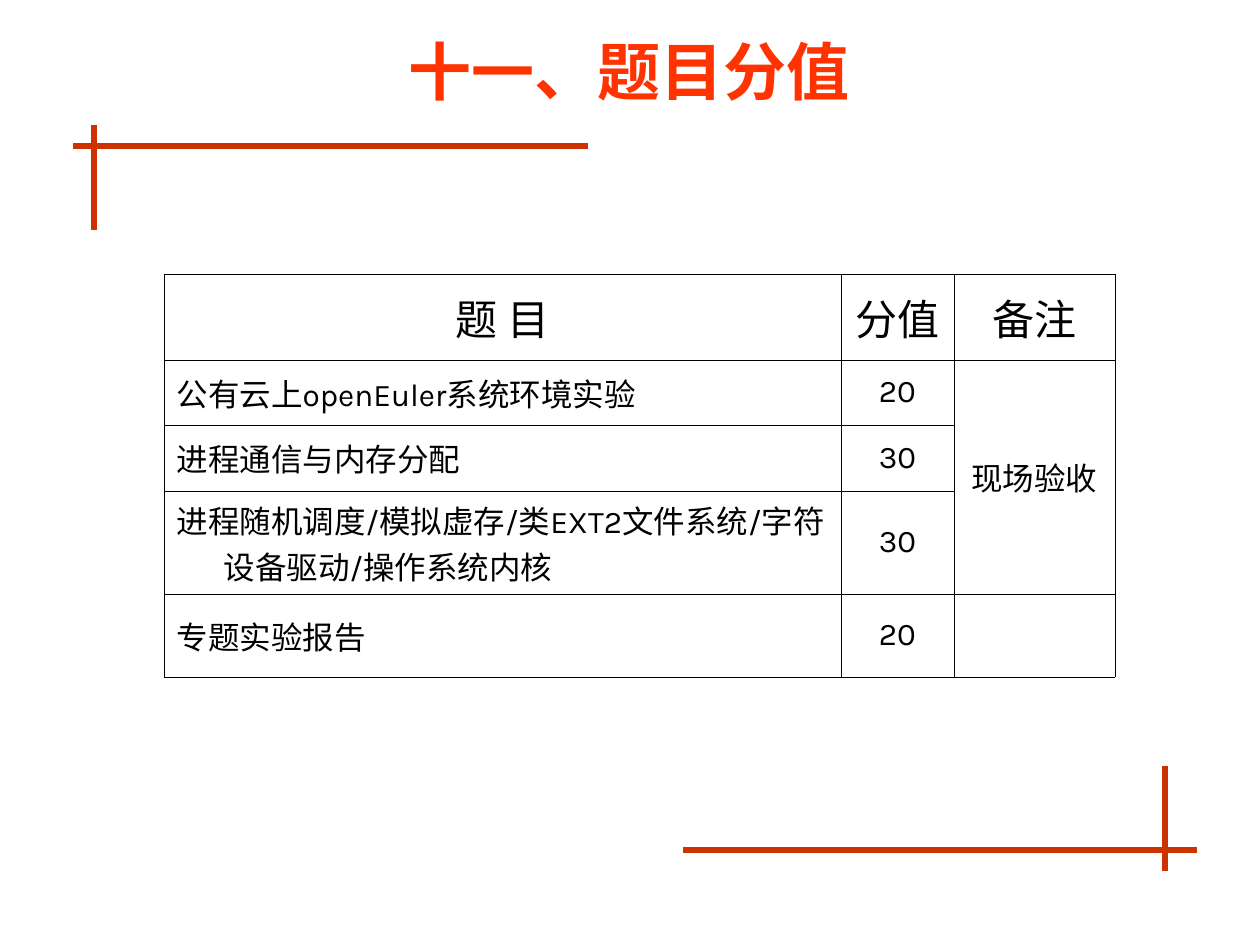
import pptx
import pptx.dml.color
import pptx.enum.shapes
import pptx.enum.text
import pptx.oxml.ns
import pptx.util
from lxml import etree

PX = 914400 / 126
CENTER = pptx.enum.text.PP_ALIGN.CENTER
LEFT = pptx.enum.text.PP_ALIGN.LEFT
MIDDLE = pptx.enum.text.MSO_ANCHOR.MIDDLE

RULES = [
    (73, 146, 588, 146),
    (683, 850, 1197, 850),
    (94, 125, 94, 230),
    (1165, 766, 1165, 871),
]
COLUMN_WIDTHS = [677, 113, 161]
ROW_HEIGHTS = [86, 65, 66, 103, 83]
SCORES = [
    ("题\u3000目".replace("\u3000", " "), "分值", "备注"),
    ("公有云上openEuler系统环境实验", "20", "现场验收"),
    ("进程通信与内存分配", "30", ""),
    ("进程随机调度/模拟虚存/类EXT2文件系统/字符设备驱动/操作系统内核", "30", ""),
    ("专题实验报告", "20", ""),
]


def px(length):
    return pptx.util.Emu(round(length * PX))


def color(value):
    return pptx.dml.color.RGBColor.from_string(value)


def add_rule(slide, x1, y1, x2, y2):
    rule = slide.shapes.add_connector(
        pptx.enum.shapes.MSO_CONNECTOR.STRAIGHT, px(x1), px(y1), px(x2), px(y2))
    rule.line.color.rgb = color("CC3300")
    rule.line.width = pptx.util.Pt(3)
    etree.SubElement(rule._element.spPr, pptx.oxml.ns.qn("a:effectLst"))


def write(paragraph, words, size, font, ink, align, bold=False):
    paragraph.alignment = align
    run = paragraph.add_run()
    run.text = words
    run.font.size = pptx.util.Pt(size)
    run.font.name = font
    run.font.bold = bold
    run.font.color.rgb = color(ink)


def add_title(slide, words):
    title = slide.shapes.add_textbox(px(94), px(6), px(1071), px(129))
    frame = title.text_frame
    frame.word_wrap = True
    frame.vertical_anchor = MIDDLE
    write(frame.paragraphs[0], words, 36, "Times New Roman", "FF3300", CENTER, True)


def set_borders(cell):
    properties = cell._tc.get_or_add_tcPr()
    for side in ("lnL", "lnR", "lnT", "lnB"):
        border = etree.SubElement(
            properties, pptx.oxml.ns.qn(f"a:{side}"), w=str(pptx.util.Pt(0.45)))
        fill = etree.SubElement(border, pptx.oxml.ns.qn("a:solidFill"))
        etree.SubElement(fill, pptx.oxml.ns.qn("a:srgbClr"), val="000000")


def fill_cell(cell, words, size, align):
    set_borders(cell)
    cell.fill.background()
    cell.vertical_anchor = MIDDLE
    if not words:
        return
    paragraph = cell.text_frame.paragraphs[0]
    hanging = paragraph._p.get_or_add_pPr()
    hanging.set("marL", str(px(47)))
    hanging.set("indent", str(px(-47)))
    write(paragraph, words, size, "Karla", "000000", align)


def add_score_table(slide):
    table = slide.shapes.add_table(
        len(ROW_HEIGHTS), len(COLUMN_WIDTHS), px(164), px(274),
        px(sum(COLUMN_WIDTHS)), px(sum(ROW_HEIGHTS))).table
    table.first_row = False
    table.horz_banding = False
    for column, width in zip(table.columns, COLUMN_WIDTHS):
        column.width = px(width)
    for row, height in zip(table.rows, ROW_HEIGHTS):
        row.height = px(height)
    for r, entries in enumerate(SCORES):
        for c, words in enumerate(entries):
            is_topic = r > 0 and c == 0
            fill_cell(table.cell(r, c), words, 18 if r else 24,
                      LEFT if is_topic else CENTER)
    table.cell(1, 2).merge(table.cell(3, 2))


def main():
    deck = pptx.Presentation()
    deck.slide_width, deck.slide_height = px(1260), px(945)
    slide = deck.slides.add_slide(deck.slide_layouts[6])
    for rule in RULES:
        add_rule(slide, *rule)
    add_title(slide, "十一、题目分值")
    add_score_table(slide)
    deck.save("out.pptx")


if __name__ == "__main__":
    main()
